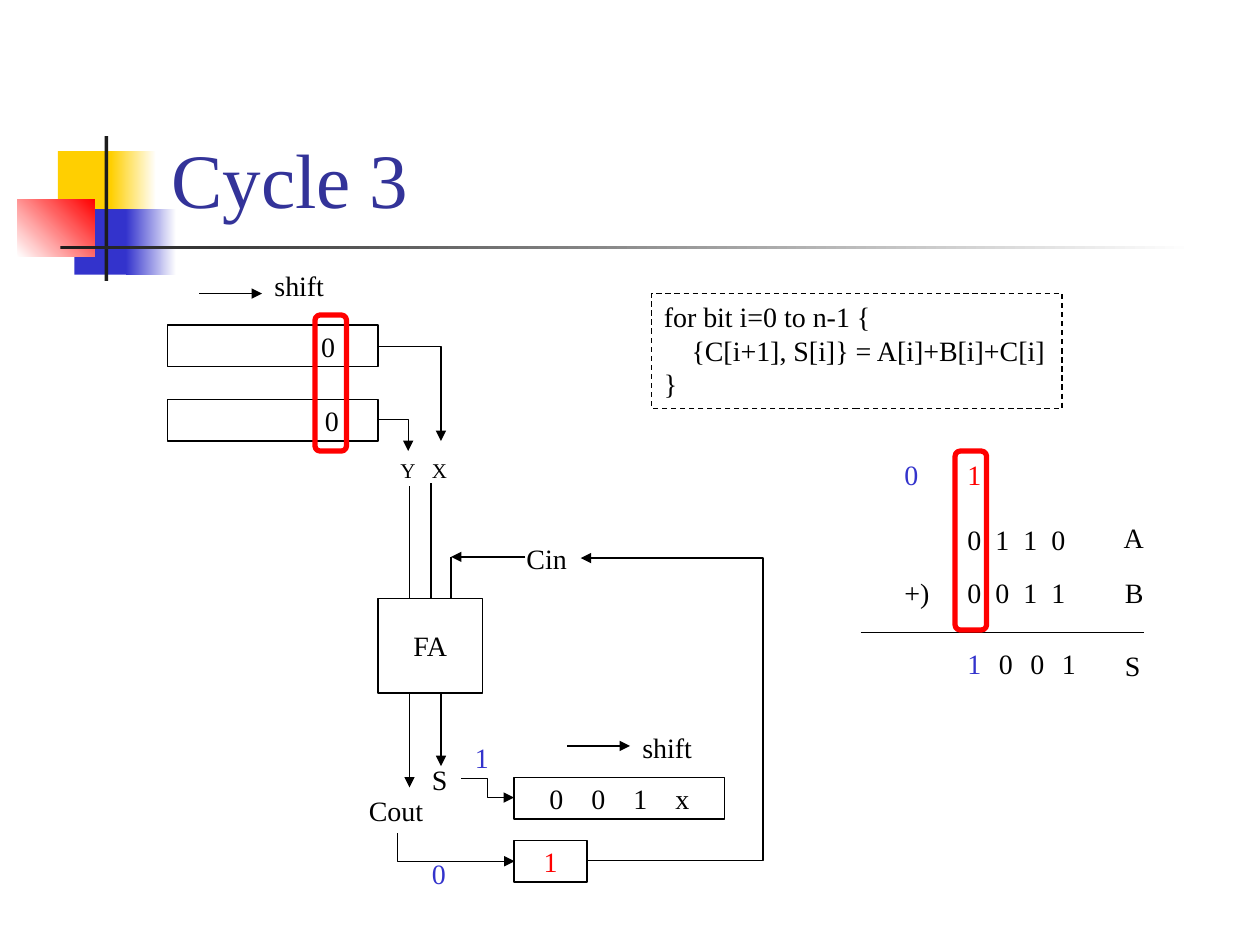
from lxml import etree
from pptx import Presentation, util as u
from pptx.dml.color import RGBColor
from pptx.enum import dml, shapes, text
from pptx.oxml.ns import qn

FONT = "Times New Roman"
BLACK, RED, BLUE, YELLOW, DARK, WHITE = "000000", "FF0000", "3333CC", "FFCF01", "1C1C1C", "FFFFFF"


def cm(*inches):
    """Turn inch positions into lengths."""
    return [u.Cm(v * 2.54) for v in inches]


def rgb(value):
    """Turn a hex string into a colour."""
    return RGBColor.from_string(value)


def write(sp, words, size=16, color=BLACK, align="LEFT", anchor="TOP",
          left=0.1, right=0, inset=0.05, pitch=0, indents=()):
    """Put formatted text in a shape, one paragraph per line."""
    tf = sp.text_frame
    tf.word_wrap = True
    tf.auto_size = text.MSO_AUTO_SIZE.NONE
    tf.vertical_anchor = getattr(text.MSO_ANCHOR, anchor)
    tf.margin_left, tf.margin_right, tf.margin_top, tf.margin_bottom = cm(left, right, inset, inset)
    for i, line in enumerate(words.split("\n")):
        p = tf.paragraphs[0] if i == 0 else tf.add_paragraph()
        p.alignment = getattr(text.PP_ALIGN, align)
        r = p.add_run()
        r.text = line
        r.font.name, r.font.size = FONT, u.Pt(size)
        r.font.color.rgb = rgb(color)
        ppr = p._p.get_or_add_pPr()
        if i in indents:
            ppr.set("marL", str(cm(0.22)[0]))
        if pitch:
            tabs = etree.SubElement(ppr, qn("a:tabLst"))
            for n in range(1, line.count("\t") + 1):
                etree.SubElement(tabs, qn("a:tab"), pos=str(u.Pt(n * pitch)), algn="l")


def label(s, words, x, y, w=0.36, h=0.37, **fmt):
    """Add a text box."""
    write(s.shapes.add_textbox(*cm(x, y, w, h)), words, **fmt)


def box(s, x, y, w, h, words="", kind="RECTANGLE", line=BLACK, weight=0.75, dash=False, **fmt):
    """Add an outlined shape without fill."""
    sp = s.shapes.add_shape(getattr(shapes.MSO_SHAPE, kind), *cm(x, y, w, h))
    sp.shadow.inherit = False
    sp.fill.background()
    sp.line.color.rgb = rgb(line)
    sp.line.width = u.Pt(weight)
    if dash:
        sp.line.dash_style = dml.MSO_LINE.DASH
    if words:
        write(sp, words, **fmt)


def block(s, x, y, w, h, start, end=None, angle=0):
    """Add a borderless block with a plain or gradient fill."""
    sp = s.shapes.add_shape(shapes.MSO_SHAPE.RECTANGLE, *cm(x, y, w, h))
    sp.shadow.inherit = False
    sp.line.fill.background()
    if end is None:
        sp.fill.solid()
        sp.fill.fore_color.rgb = rgb(start)
        return
    sp.fill.gradient()
    sp.fill.gradient_angle = angle
    for stop, color in zip(sp.fill.gradient_stops, (start, end)):
        stop.color.rgb = rgb(color)


def wire(s, x1, y1, x2, y2, arrow=False, kind="STRAIGHT"):
    """Add a connector, with an arrowhead at its end on request."""
    c = s.shapes.add_connector(getattr(shapes.MSO_CONNECTOR, kind), *cm(x1, y1, x2, y2))
    c.line.color.rgb = rgb(BLACK)
    c.line.width = u.Pt(0.75)
    if arrow:
        etree.SubElement(c.line._get_or_add_ln(), qn("a:tailEnd"), type="triangle")
    etree.SubElement(c._element.spPr, qn("a:effectLst"))
    return c


def elbow(s, x1, y1, x2, y2, via=None, rot=0):
    """Add a bent arrow with one corner, or two corners at x = via."""
    c = wire(s, x1, y1, x2, y2, True, "ELBOW")
    geom = c._element.spPr.find(qn("a:prstGeom"))
    if via is None:
        geom.set("prst", "bentConnector2")
    else:
        ratio = round((via - x1) / (x2 - x1) * 100000)
        guides = geom.find(qn("a:avLst"))
        etree.SubElement(guides, qn("a:gd"), name="adj1", fmla=f"val {ratio}")
    if rot:
        c._element.spPr.find(qn("a:xfrm")).set("rot", str(rot * 60000))


def header(s):
    """Draw the corner decoration and the title."""
    block(s, 0.46, 1.2, 0.48, 0.52, YELLOW)
    block(s, 0.88, 1.2, 0.36, 0.52, YELLOW, WHITE)
    block(s, 0.59, 1.66, 0.46, 0.52, BLUE)
    block(s, 1, 1.66, 0.4, 0.52, BLUE, WHITE)
    block(s, 0.14, 1.58, 0.61, 0.46, WHITE, RED, 45)
    block(s, 0.83, 1.08, 0.03, 1.15, DARK)
    block(s, 0.48, 1.95, 9, 0.03, DARK, WHITE)
    title = s.shapes.title
    title.left, title.top, title.width, title.height = cm(1.26, 0.23, 8.52, 1.6)
    write(title, "Cycle 3", size=44, color="333399", anchor="BOTTOM")
    s.shapes._spTree.append(title._element)


def addition(s):
    """Write the column addition."""
    for words, y in (("0\t1\t1\t0", 4.1), ("0\t0\t1\t1", 4.52)):
        label(s, words, 7.58, y, 0.98, pitch=16)
    label(s, "+)", 7.08, 4.52, 0.4)
    for words, x, y in (("A", 8.82, 4.08), ("B", 8.83, 4.52), ("S", 8.83, 5.1)):
        label(s, words, x, y)
    wire(s, 6.83, 5.02, 9.08, 5.02)
    for i, digit in enumerate("1001"):
        label(s, digit, 7.58 + i * 0.25, 5.08, 0.31, color=BLACK if i else BLUE)
    label(s, "0", 7.08, 3.58, color=BLUE)
    label(s, "1", 7.58, 3.58, color=RED)


def adder(s):
    """Draw the full adder with its inputs and outputs."""
    box(s, 3, 4.75, 0.83, 0.75, "FA", align="CENTER", anchor="MIDDLE", left=0)
    for x, top in ((3.25, 3.86), (3.42, 3.83), (3.58, 4.42)):
        wire(s, x, 4.75, x, top)
    for x, bottom in ((3.25, 6.25), (3.5, 6.08)):
        wire(s, x, 5.5, x, bottom, True)
    wire(s, 4.17, 4.42, 3.58, 4.42, True)
    for words, x in (("Y", 3.08), ("X", 3.33)):
        label(s, words, x, 3.58, 0.32, 0.3, size=12)
    label(s, "S", 3.33, 6)
    label(s, "Cin", 4.08, 4.25, 0.52)
    label(s, "Cout", 2.83, 6.25, 0.63)
    label(s, "0", 3.33, 6.75, color=BLUE)
    label(s, "1", 3.67, 5.83, color=BLUE)


def registers(s):
    """Draw the shift registers, the carry register and their wiring."""
    for y, right in ((2.58, 0.34), (3.17, 0.31)):
        box(s, 1.33, y, 1.67, 0.33, "0", align="RIGHT", anchor="MIDDLE", right=right, inset=0)
    box(s, 4.08, 6.17, 1.67, 0.33, "0\t0\t1\tx", anchor="MIDDLE", left=0.28, inset=0, pitch=24)
    box(s, 4.08, 6.67, 0.58, 0.33, "1", color=RED, align="CENTER", anchor="MIDDLE", left=0, inset=0)
    for x, y in ((1.58, 2.33), (4.5, 5.92)):
        wire(s, x, y, x + 0.5, y, True)
    for x, y in ((2.08, 2.08), (5, 5.75)):
        label(s, "shift", x, y, 0.6)
    elbow(s, 3, 2.75, 3.5, 3.5)
    elbow(s, 3, 3.33, 3.24, 3.58)
    elbow(s, 3.66, 6.18, 4.08, 6.33, via=3.87)
    elbow(s, 3.73, 6.26, 3.51, 7.19, rot=270)
    elbow(s, 4.67, 6.83, 4.61, 4.43, via=6.06)


def main():
    """Build the slide and save it."""
    prs = Presentation()
    prs.slide_width, prs.slide_height = cm(10, 7.5)
    s = prs.slides.add_slide(prs.slide_layouts[5])
    header(s)
    addition(s)
    adder(s)
    registers(s)
    box(s, 5.17, 2.33, 3.26, 0.91, "for bit i=0 to n-1 {\n{C[i+1], S[i]} = A[i]+B[i]+C[i]\n}",
        dash=True, indents=(1,))
    for x, y, h in ((7.58, 3.58, 1.42), (2.5, 2.5, 1.08)):
        box(s, x, y, 0.25, h, kind="ROUNDED_RECTANGLE", line=RED, weight=3)
    prs.save("out.pptx")


main()
